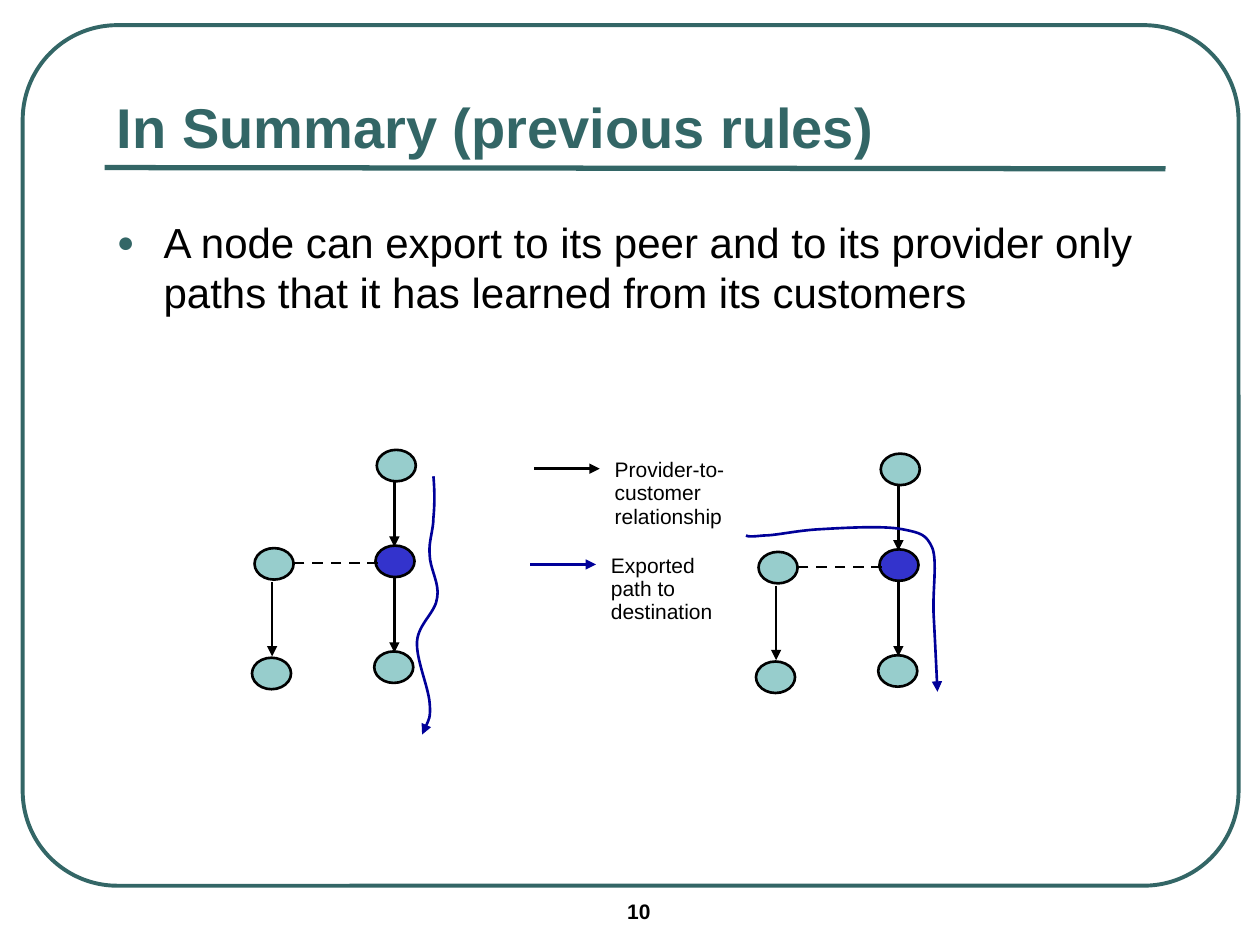
from dataclasses import dataclass

from lxml.etree import SubElement
from pptx import Presentation
from pptx.dml.color import RGBColor
from pptx.enum.dml import MSO_LINE
from pptx.enum.shapes import MSO_CONNECTOR, MSO_SHAPE
from pptx.enum.text import MSO_ANCHOR
from pptx.oxml.ns import qn
from pptx.util import Inches, Pt


@dataclass(frozen=True)
class Theme:
    font: str = "Arial"
    accent: RGBColor = RGBColor(0x33, 0x66, 0x66)
    ink: RGBColor = RGBColor(0, 0, 0)
    route: RGBColor = RGBColor(0, 0, 0x99)
    node: RGBColor = RGBColor(0x97, 0xCD, 0xCC)
    exporter: RGBColor = RGBColor(0x33, 0x33, 0xCC)
    title_size: int = 32
    body_size: int = 24
    label_size: int = 12


theme = Theme()


def style_line(shape, color, width=1.5, arrow=False, dashed=False):
    shape.line.color.rgb = color
    shape.line.width = Pt(width)
    if dashed:
        shape.line.dash_style = MSO_LINE.DASH
    properties = shape.element.spPr
    if arrow:
        SubElement(properties.find(qn("a:ln")), qn("a:tailEnd"), type="triangle")
    SubElement(properties, qn("a:effectLst"))


def add_text(text, left, top, width, height, size, color, bold=False, spacing=None):
    frame = slide.shapes.add_textbox(
        Inches(left), Inches(top), Inches(width), Inches(height)).text_frame
    frame.word_wrap = True
    paragraph = frame.paragraphs[0]
    paragraph.line_spacing = spacing
    run = paragraph.add_run()
    run.text = text
    run.font.name = theme.font
    run.font.size = Pt(size)
    run.font.bold = bold
    run.font.color.rgb = color
    return frame


prs = Presentation()
prs.slide_width, prs.slide_height = Inches(10), Inches(7.5)
slide = prs.slides.add_slide(prs.slide_layouts[6])
shapes = slide.shapes

# Page number, frame and title rule
add_text("10", 4.88, 7.1, 1.17, 0.29, theme.label_size, theme.ink, bold=True, spacing=0.93)
frame_outline = shapes.add_shape(
    MSO_SHAPE.ROUNDED_RECTANGLE, Inches(0.18), Inches(0.2), Inches(9.65), Inches(6.83))
frame_outline.adjustments[0] = 0.11
frame_outline.fill.background()
style_line(frame_outline, theme.accent, 2.25)
title_rule = shapes.add_connector(
    MSO_CONNECTOR.STRAIGHT, Inches(0.83), Inches(1.33), Inches(9.25), Inches(1.34))
style_line(title_rule, theme.accent, 3)

# Title and bulleted rule
title = add_text("In Summary (previous rules)", 0.83, 0.58, 8.41, 0.74,
                 theme.title_size, theme.accent, bold=True)
title.vertical_anchor = MSO_ANCHOR.BOTTOM
body = add_text("A node can export to its peer and to its provider only paths "
                "that it has learned from its customers",
                0.83, 1.67, 8.41, 1, theme.body_size, theme.ink)
body.paragraphs[0].space_before = Pt(6)
bullet = body.paragraphs[0]._p.get_or_add_pPr()
bullet.set("marL", str(Inches(0.37)))
bullet.set("indent", str(Inches(-0.37)))
bullet_color = SubElement(bullet, qn("a:buClr"))
SubElement(bullet_color, qn("a:srgbClr"), val=str(theme.accent))
SubElement(bullet, qn("a:buSzPct"), val="70000")
SubElement(bullet, qn("a:buFont"), typeface=theme.font)
SubElement(bullet, qn("a:buChar"), char="●")

# Two identical networks, placed relative to their top left corners
nodes = [(0.98, 0.76, theme.exporter), (0.99, 0, theme.node), (0.97, 1.6, theme.node),
         (0.02, 0.78, theme.node), (0, 1.65, theme.node)]
links = [(1.13, 0.25, 1.13, 0.77), (1.13, 1.02, 1.13, 1.61),
         (1, 0.9, 0.31, 0.9), (0.16, 1.05, 0.16, 1.64)]
for left, top in [(6, 3.6), (2, 3.57)]:
    for x, y, color in nodes:
        node = shapes.add_shape(MSO_SHAPE.OVAL, Inches(left + x), Inches(top + y),
                                Inches(0.31), Inches(0.25))
        node.fill.solid()
        node.fill.fore_color.rgb = color
        style_line(node, theme.ink)
    for x1, y1, x2, y2 in links:
        link = shapes.add_connector(MSO_CONNECTOR.STRAIGHT, Inches(left + x1), Inches(top + y1),
                                    Inches(left + x2), Inches(top + y2))
        peering = y1 == y2
        style_line(link, theme.ink, arrow=not peering, dashed=peering)

# Exported paths: a start point, then three Bezier points per curve
peer_route = [
    (5.92, 4.25), (5.94, 4.26), (5.96, 4.26), (6.06, 4.25), (6.16, 4.25), (6.32, 4.21),
    (6.51, 4.2), (6.69, 4.19), (7.01, 4.17), (7.16, 4.2), (7.31, 4.23), (7.35, 4.24),
    (7.4, 4.35), (7.44, 4.46), (7.4, 4.69), (7.41, 4.88), (7.42, 5.07), (7.43, 5.28),
    (7.44, 5.49)]
provider_route = [
    (3.44, 3.78), (3.45, 3.89), (3.45, 4.01), (3.44, 4.11), (3.44, 4.21), (3.4, 4.3),
    (3.41, 4.4), (3.41, 4.51), (3.49, 4.63), (3.47, 4.74), (3.46, 4.86), (3.32, 4.95),
    (3.31, 5.09), (3.3, 5.23), (3.4, 5.45), (3.41, 5.58), (3.42, 5.7), (3.38, 5.76),
    (3.35, 5.83)]
for route in (peer_route, provider_route):
    start, *controls = [(Inches(x), Inches(y)) for x, y in route]
    builder = shapes.build_freeform(*start)
    builder.add_line_segments(controls, close=False)
    curve = builder.convert_to_shape()
    curve.fill.background()
    style_line(curve, theme.route, arrow=True)
    # Merge every three straight segments into one cubic curve
    outline = curve.element.spPr.find(".//" + qn("a:path"))
    segments = outline.findall(qn("a:lnTo"))
    for first in range(0, len(segments), 3):
        cubic = SubElement(outline, qn("a:cubicBezTo"))
        for segment in segments[first:first + 3]:
            cubic.append(segment[0])
            outline.remove(segment)

# Legend
for label, left, top, color in [
        ("Provider-to-customer relationship", 4.78, 3.59, theme.ink),
        ("Exported path to destination", 4.75, 4.35, theme.route)]:
    add_text(label, left, top, 1.22, 0.66, theme.label_size, theme.ink, spacing=0.93)
    y = Inches(top + 0.13)
    sample = shapes.add_connector(
        MSO_CONNECTOR.STRAIGHT, Inches(left - 0.54), y, Inches(left - 0.02), y)
    style_line(sample, color, arrow=True)

prs.save("out.pptx")
